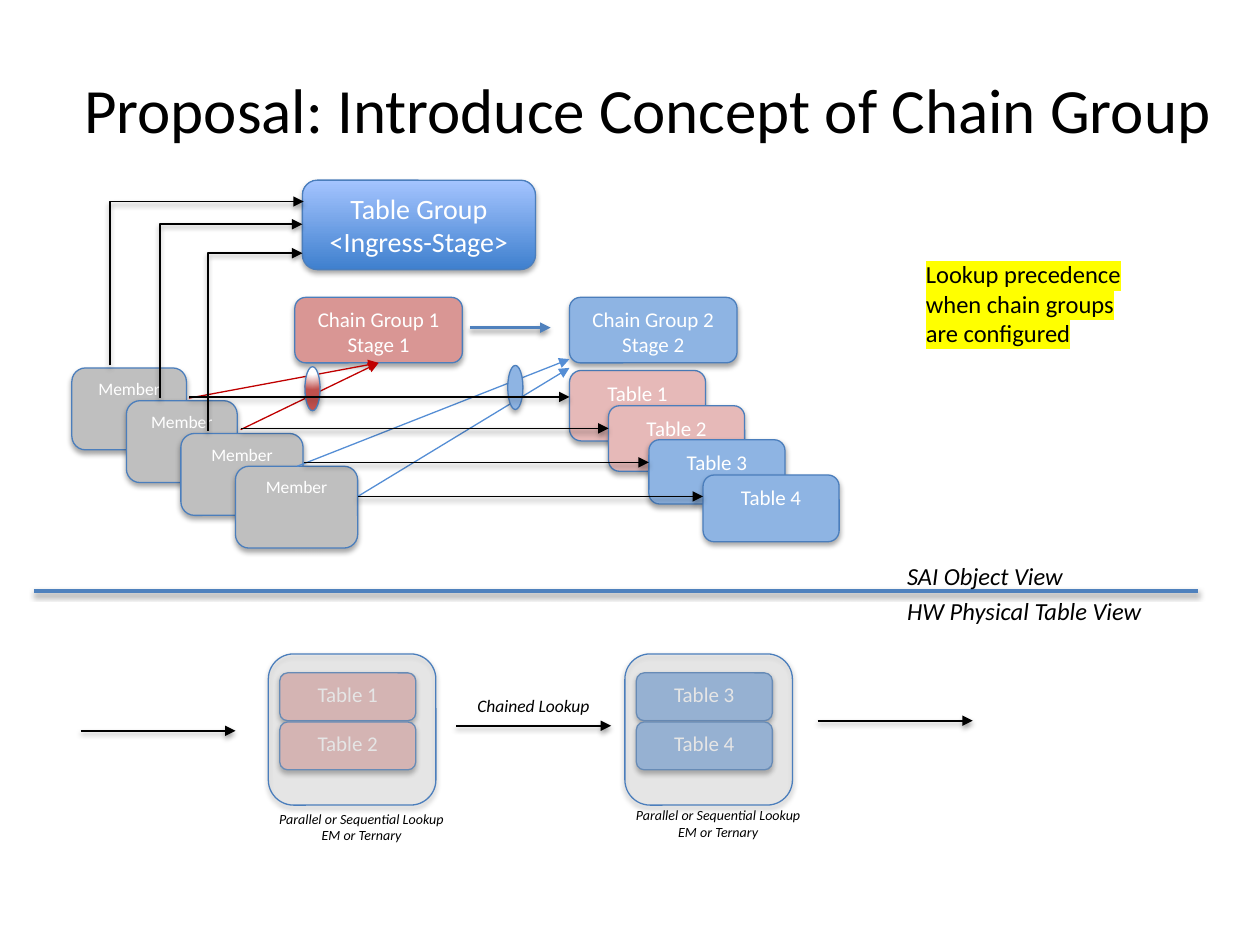
from lxml.etree import SubElement as Sub
from pptx import Presentation
from pptx.dml.color import RGBColor
from pptx.enum.shapes import MSO_CONNECTOR as Conn, MSO_SHAPE as Form
from pptx.enum.text import MSO_ANCHOR as Anchor, MSO_AUTO_SIZE as Fit, PP_ALIGN as Align
from pptx.oxml.ns import qn
from pptx.util import Inches, Pt

BLACK = RGBColor(0x00, 0x00, 0x00)
WHITE = RGBColor(0xFF, 0xFF, 0xFF)
EDGE = RGBColor(0x4B, 0x7E, 0xBC)
BLUE = RGBColor(0x4F, 0x81, 0xBD)
SKY = RGBColor(0x8E, 0xB4, 0xE3)
LINK = RGBColor(0x55, 0x8E, 0xD5)
DEEP = RGBColor(0x3F, 0x80, 0xCE)
PALE = RGBColor(0xA4, 0xC4, 0xFF)
ROSE = RGBColor(0xD9, 0x96, 0x94)
PINK = RGBColor(0xE6, 0xB9, 0xB8)
RED = RGBColor(0xC0, 0x00, 0x00)
BRICK = RGBColor(0xC0, 0x50, 0x4D)
GREY = RGBColor(0xBF, 0xBF, 0xBF)
MIST = RGBColor(0xD9, 0xD9, 0xD9)

# The slide is a grid of 100 columns by 75 rows
deck = Presentation()
deck.slide_width, deck.slide_height = Inches(10), Inches(7.5)
COL, ROW = deck.slide_width / 100, deck.slide_height / 75
slide = deck.slides.add_slide(deck.slide_layouts[6])
shapes = slide.shapes
shaded = []  # pairs of shape and shadow opacity


def box(x, y, w, h, text="", size=12, fill=None, form=Form.ROUNDED_RECTANGLE,
        italic=False, align=Align.CENTER):
    """Filled shape, or a plain text box when there is no fill."""
    place = [int(v) for v in (x * COL, y * ROW, w * COL, h * ROW)]
    if fill is None:
        item = shapes.add_textbox(*place)
        item.text_frame.auto_size = Fit.SHAPE_TO_FIT_TEXT
    else:
        item = shapes.add_shape(form, *place)
        item.fill.solid()
        item.fill.fore_color.rgb = fill
        item.line.color.rgb = EDGE
        item.line.width = Pt(0.75)
        item.shadow.inherit = False
        shaded.append((item, 35))
    frame = item.text_frame
    frame.word_wrap = True
    frame.vertical_anchor = Anchor.TOP
    if text:
        frame.text = text
    for para in frame.paragraphs:
        para.alignment = align
        for run in para.runs:
            font = run.font
            font.name, font.size, font.italic = "Calibri", Pt(size), italic
            font.color.rgb = BLACK if fill is None else WHITE
    return item


def link(x1, y1, x2, y2, color=BLACK, width=1, kind=Conn.STRAIGHT, head=True, shade=True):
    ends = [int(v) for v in (x1 * COL, y1 * ROW, x2 * COL, y2 * ROW)]
    item = shapes.add_connector(kind, *ends)
    item.line.color.rgb = color
    item.line.width = Pt(width)
    if head:
        Sub(item.line._get_or_add_ln(), qn("a:tailEnd"), type="triangle")
    Sub(item._element.spPr, qn("a:effectLst"))
    if shade:
        shaded.append((item, 38))
    return item


# Title
box(5.7, 5.1, 94.3, 7.1, "Proposal: Introduce Concept of Chain Group", 36, align=Align.LEFT)

# Table group
group = box(24, 14.3, 18.5, 7.1, "Table Group\n<Ingress-Stage>", 16, DEEP)
group.text_frame.vertical_anchor = Anchor.MIDDLE
group.fill.gradient()
group.fill.gradient_angle = 90
for stop, color in zip(group.fill.gradient_stops, (DEEP, PALE)):
    stop.color.rgb = color

# Stacked tables
for n, (x, y, h, fill) in enumerate([(45.2, 29.4, 5.6, PINK), (48.3, 32.2, 5.2, PINK),
                                     (51.5, 34.9, 5.1, SKY), (55.8, 37.7, 5.3, SKY)], 1):
    box(x, y, 10.8, h, f"Table {n}", 12, fill)

# Stacked members
for n, w in enumerate((9.1, 8.8, 9.7, 9.7)):
    box(5.7 + 4.33 * n, 29.2 + 2.6 * n, w, 6.5, "Member", 10, GREY)

# Chain groups
first = box(23.4, 23.6, 13.3, 5.2, "Chain Group 1 Stage 1", 12, ROSE)
box(45.2, 23.6, 13.3, 5.2, "Chain Group 2 Stage 2", 12, SKY)
link(37.3, 26, 43.7, 26, BLUE, 2)

# Members to chain groups
for x, y in ((15, 31.6), (19.1, 34.1)):
    link(x, y, 30.1, 28.8, RED, 0.75, shade=False).end_connect(first, 2)
for x, y, top in ((23.6, 37, 28.5), (28.4, 39.4, 29.2)):
    link(x, y, 45.2, top, LINK, 0.75, shade=False)

# Ellipses that bundle the links
lens = box(24.2, 29.1, 1.2, 3.5, fill=BRICK, form=Form.OVAL)
box(40.3, 29, 1.2, 3.5, fill=SKY, form=Form.OVAL)
lens.fill.gradient()
for stop, spot, color in zip(lens.fill.gradient_stops, (0.35, 1), (WHITE, BRICK)):
    stop.position = spot
    stop.color.rgb = color
grad = lens._element.spPr.find(qn("a:gradFill"))
grad.remove(grad.find(qn("a:lin")))
Sub(Sub(grad, qn("a:path"), path="circle"), qn("a:fillToRect"),
    l="50000", t="-80000", r="50000", b="180000")

# Members up to the table group: rise first, then turn right
for x, y, end, top in ((8.75, 29, 24.1, 16), (12.7, 31.6, 24, 17.8), (16.5, 34.2, 24, 20.1)):
    bend = link(x, y, end, top, kind=Conn.ELBOW)
    guides = bend._element.spPr.find(qn("a:prstGeom")).get_or_add_avLst()
    Sub(guides, qn("a:gd"), name="adj1", fmla="val 0")

# Members to tables
for x, end, y in ((15, 45.2, 31.5), (19.1, 48.3, 34), (24.1, 51.5, 36.7), (28.4, 55.8, 39.4)):
    link(x, y, end, y)

# Divider between the two views
link(2.7, 46.9, 95.1, 46.9, BLUE, 2, head=False)
box(71, 44, 14.8, 3.4, "SAI Object View", 14, italic=True, align=Align.LEFT)
box(71, 46.8, 24.1, 3.4, "HW Physical Table View", 14, italic=True, align=Align.LEFT)

# Physical tables under a translucent panel
for x, base, fill, note in ((49.6, 3, SKY, 63.5), (21.3, 1, PINK, 63.8)):
    for n in range(2):
        box(x + 0.9, 53.4 + 3.9 * n, 10.8, 3.8, f"Table {base + n}", 12, fill)
    panel = box(x, 51.9, 13.3, 12, fill=MIST)
    tint = panel._element.spPr.find(qn("a:solidFill"))[0]
    Sub(tint, qn("a:alpha"), val="24000")
    box(x - 0.2, note, 15.2, 3.7, "Parallel or Sequential Lookup\nEM or Ternary", 8, italic=True)

# Lookup flow
for x, y in ((6.4, 58), (36.2, 57.6), (64.9, 57.2)):
    link(x, y, x + 12.3, y)
box(36.9, 54.7, 11.1, 2.7, "Chained Lookup", 10, italic=True, align=Align.LEFT)

# Highlighted remark
remark = box(72.5, 20.1, 18.6, 8.1, "Lookup precedence when chain groups are configured", 14,
             align=Align.LEFT)
props = remark.text_frame.paragraphs[0].runs[0].font._element
mark = Sub(props, qn("a:highlight"))
Sub(mark, qn("a:srgbClr"), val="FFFF00")
props.find(qn("a:solidFill")).addnext(mark)

# Soft shadows
for item, alpha in shaded:
    effects = item._element.spPr.find(qn("a:effectLst"))
    drop = Sub(effects, qn("a:outerShdw"), blurRad=str(Pt(3.1)), dist=str(Pt(1.8)),
               dir="5400000", rotWithShape="0")
    Sub(Sub(drop, qn("a:srgbClr"), val="000000"), qn("a:alpha"), val=str(alpha * 1000))

deck.save("out.pptx")
